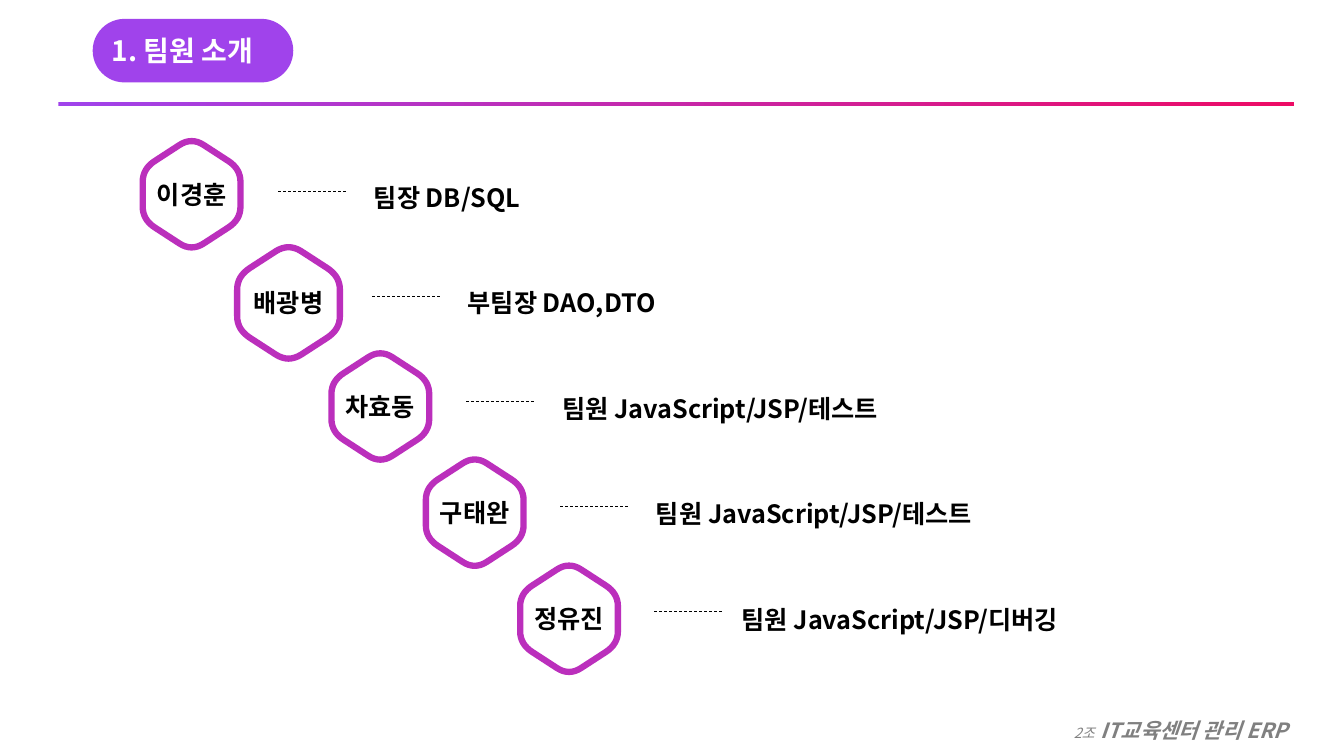
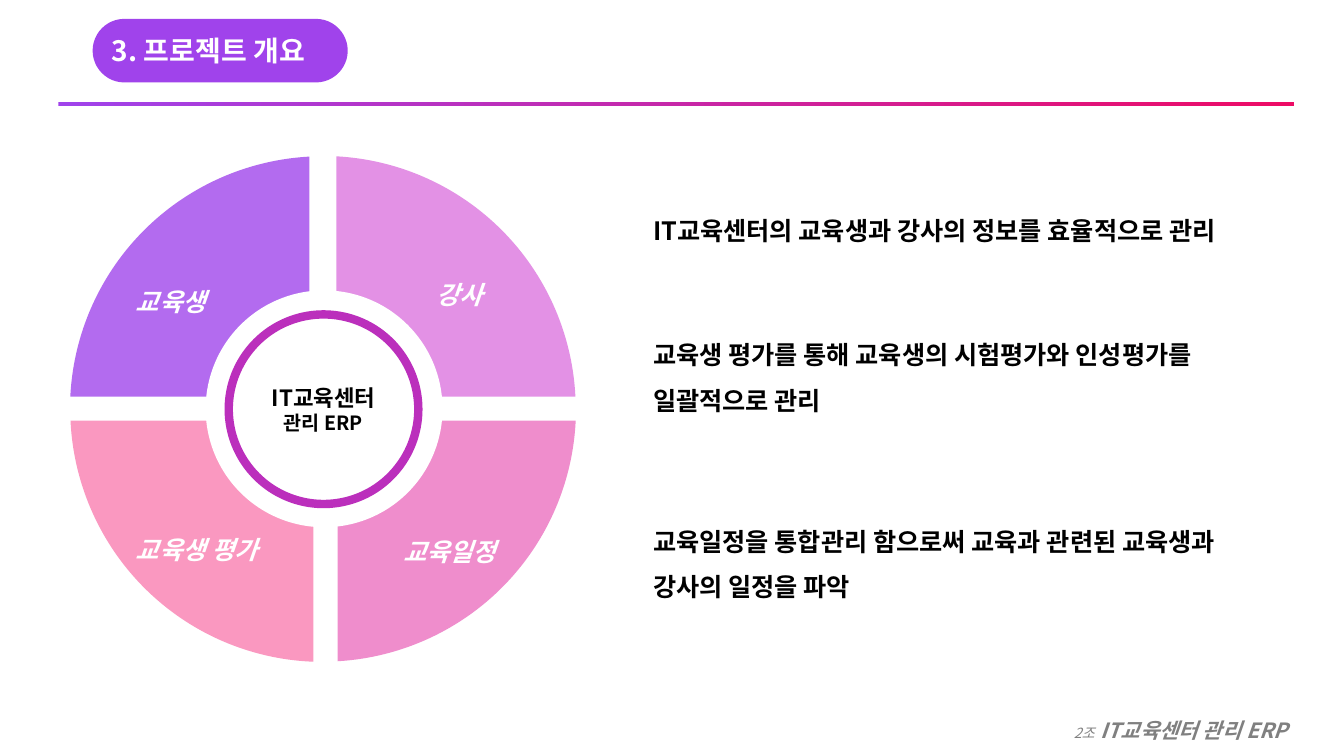
from pptx import Presentation
from pptx.dml.color import RGBColor
from pptx.enum.dml import MSO_LINE
from pptx.enum.shapes import MSO_CONNECTOR, MSO_SHAPE
from pptx.enum.text import MSO_ANCHOR, MSO_AUTO_SIZE, PP_ALIGN
from pptx.oxml.ns import qn
from pptx.util import Pt
from lxml import etree

# Enum members
RECTANGLE, PILL = MSO_SHAPE.RECTANGLE, MSO_SHAPE.ROUNDED_RECTANGLE
OVAL, PIE = MSO_SHAPE.OVAL, MSO_SHAPE.PIE
STRAIGHT, DASH = MSO_CONNECTOR.STRAIGHT, MSO_LINE.DASH
LEFT, CENTER, RIGHT = PP_ALIGN.LEFT, PP_ALIGN.CENTER, PP_ALIGN.RIGHT
MIDDLE, GROW = MSO_ANCHOR.MIDDLE, MSO_AUTO_SIZE.SHAPE_TO_FIT_TEXT

# Colours and text formats
BLACK = RGBColor(0x00, 0x00, 0x00)
WHITE = RGBColor(0xFF, 0xFF, 0xFF)
GRAY = RGBColor(0x80, 0x80, 0x80)
VIOLET = RGBColor(0xA0, 0x43, 0xEB)
CRIMSON = RGBColor(0xED, 0x0B, 0x65)
MAGENTA = RGBColor(0xBB, 0x2F, 0xBC)
QUADRANTS = [RGBColor(0xB3, 0x6B, 0xEF), RGBColor(0xE3, 0x91, 0xE5),
             RGBColor(0xEF, 0x8D, 0xCC), RGBColor(0xFA, 0x98, 0xC0)]
FONT = "Noto Sans CJK KR"
BODY = {"size": Pt(18), "bold": True, "color": BLACK}
TITLE = {"size": Pt(20), "bold": True, "color": WHITE}
LABEL = {"size": Pt(18), "bold": True, "italic": True, "color": WHITE}
FOOTER = {"size": Pt(10), "italic": True, "color": GRAY}

# Corners of the hexagon, as shares of its width and height
HEXAGON = [(0.5, -0.04), (1, 0.26), (1, 0.74), (0.5, 1.04), (0, 0.74), (0, 0.26)]


def rounded_outline(corners, cut=0.25, steps=8):
    """Replace each corner by a quadratic curve that starts at `cut` of the edge."""
    points = []
    for index, (x, y) in enumerate(corners):
        starts, ends = [
            (x + (other[0] - x) * cut, y + (other[1] - y) * cut)
            for other in (corners[index - 1], corners[(index + 1) % len(corners)])]
        for step in range(steps + 1):
            t = step / steps
            points.append(tuple(
                (1 - t) ** 2 * start + 2 * t * (1 - t) * middle + t ** 2 * end
                for start, middle, end in zip(starts, (x, y), ends)))
    return points


class Deck:
    """Holds the shared style and the current slide."""

    def __init__(self):
        self.presentation = Presentation()
        self.presentation.slide_width = Pt(960)
        self.presentation.slide_height = Pt(540)
        self.slide = None

    def new_slide(self, title, title_width):
        self.slide = self.presentation.slides.add_slide(
            self.presentation.slide_layouts[6])
        # Title pill
        pill = self.shape(PILL, (66.2, 13.5, title_width, 45.4), VIOLET, adjustments=[0.5])
        self.set_text(pill, [(title, TITLE)], anchor=MIDDLE)
        # Gradient rule
        rule = self.shape(RECTANGLE, (41.8, 72.9, 882.7, 2.9), VIOLET)
        rule.fill.gradient()
        rule.fill.gradient_angle = 0
        for stop, color in zip(rule.fill.gradient_stops, (VIOLET, CRIMSON)):
            stop.color.rgb = color
        # Footer
        self.text((718.6, 491.8, 208.1, 38.9), [
            ("2조", FOOTER),
            (" ", {**FOOTER, "size": Pt(20)}),
            ("IT교육센터 관리 ERP", {**FOOTER, "size": Pt(15), "bold": True})], RIGHT)

    def paint(self, shape, fill=None, line=None, line_width=0):
        shape.shadow.inherit = False
        if fill is None:
            shape.fill.background()
        else:
            shape.fill.solid()
            shape.fill.fore_color.rgb = fill
        if line is None:
            shape.line.fill.background()
        else:
            shape.line.color.rgb = line
            shape.line.width = Pt(line_width)
        return shape

    def shape(self, kind, box, fill, line=None, line_width=0, adjustments=(), rotation=0):
        shape = self.slide.shapes.add_shape(kind, *map(Pt, box))
        for index, value in enumerate(adjustments):
            shape.adjustments[index] = value
        shape.rotation = rotation
        return self.paint(shape, fill, line, line_width)

    def hexagon(self, box, name):
        left, top, width, height = box
        points = [(Pt(left + x * width), Pt(top + y * height))
                  for x, y in rounded_outline(HEXAGON)]
        builder = self.slide.shapes.build_freeform(*points[0])
        builder.add_line_segments(points[1:])
        shape = self.paint(builder.convert_to_shape(), None, MAGENTA, 4.5)
        self.set_text(shape, [(name, BODY)], CENTER, anchor=MIDDLE, margin=0)

    def dashed_line(self, left, top, length):
        line = self.slide.shapes.add_connector(
            STRAIGHT, Pt(left), Pt(top), Pt(left + length), Pt(top))
        line.line.color.rgb = BLACK
        line.line.width = Pt(0.5)
        line.line.dash_style = DASH
        etree.SubElement(line._element.spPr, qn("a:effectLst"))

    def text(self, box, runs, align=LEFT):
        shape = self.slide.shapes.add_textbox(*map(Pt, box))
        self.set_text(shape, runs, align, spacing=1.5)
        shape.text_frame.auto_size = GROW

    def set_text(self, shape, runs, align=LEFT, anchor=None, margin=None, spacing=None):
        frame = shape.text_frame
        frame.word_wrap = True
        if anchor is not None:
            frame.vertical_anchor = anchor
        if margin is not None:
            frame.margin_left = frame.margin_right = Pt(margin)
        paragraph = frame.paragraphs[0]
        paragraph.alignment = align
        paragraph.line_spacing = spacing
        for text, style in runs:
            if text == "\n":
                paragraph.add_line_break()
                continue
            run = paragraph.add_run()
            run.text = text
            run.font.name = FONT
            for name, value in style.items():
                if name == "color":
                    run.font.color.rgb = value
                else:
                    setattr(run.font, name, value)
            east_asian = etree.SubElement(run._r.get_or_add_rPr(), qn("a:ea"))
            east_asian.set("typeface", FONT)


def team_slide(deck):
    deck.new_slide("1. 팀원 소개", 143.3)
    # Name, role, hexagon size, left and width of the role text
    members = [
        ("이경훈", "팀장 DB/SQL", (69.8, 75.6), 260, 141),
        ("배광병", "부팀장 DAO,DTO", (73.4, 79.2), 327, 333),
        ("차효동", "팀원 JavaScript/JSP/테스트", (69.8, 75.6), 394.5, 252),
        ("구태완", "팀원 JavaScript/JSP/테스트", (69.8, 75.6), 461.5, 247),
        ("정유진", "팀원 JavaScript/JSP/디버깅", (69.8, 75.6), 522.7, 247.7),
    ]
    for row, (name, role, size, role_left, role_width) in enumerate(members):
        deck.hexagon((102 + 67.4 * row, 101 + 75.8 * row, *size), name)
        deck.dashed_line(198.7 + 67.2 * row, 136.8 + 74.9 * row, 49.3)
        deck.text((role_left, 115.9 + 75.3 * row, role_width, 40), [(role, BODY)])


def overview_slide(deck):
    deck.new_slide("3. 프로젝트 개요", 182.2)
    # Ring of four quadrants
    for quarter, color in enumerate(QUADRANTS):
        deck.shape(PIE, (50, 111.6, 361.4, 361), color,
                   adjustments=[108, 162], rotation=90 * quarter)
    # White gaps and hub
    deck.shape(OVAL, (146.9, 207.4, 169.2, 169.2), WHITE)
    for gap in [(221, 110.5, 19.4, 122), (223.9, 349.2, 17.3, 124.6),
                (49, 283.3, 364, 17.3)]:
        deck.shape(RECTANGLE, gap, WHITE)
    hub = deck.shape(OVAL, (163.4, 224.6, 135.4, 135.4), WHITE, MAGENTA, 6)
    deck.set_text(hub, [("IT교육센터", {**BODY, "size": Pt(16)}), ("\n", {}),
                        ("관리 ERP", {**BODY, "size": Pt(14)})],
                  CENTER, anchor=MIDDLE, margin=0)
    # Quadrant labels
    for label, left, top, width in [("교육생", 90, 190.1, 72.7), ("강사", 304.6, 185, 64.8),
                                    ("교육생 평가", 90, 367.2, 115.9),
                                    ("교육일정", 280.8, 368.6, 92.2)]:
        deck.text((left, top, width, 40.3), [(label, LABEL)])
    # Goals
    for goal, top, width, height in [
            ("IT교육센터의 교육생과 강사의 정보를 효율적으로 관리", 139.7, 465, 40.3),
            ("교육생 평가를 통해 교육생의 시험평가와 인성평가를 일괄적으로 관리", 228.2, 451.4, 72.7),
            ("교육일정을 통합관리 함으로써 교육과 관련된 교육생과 강사의 일정을 파악",
             361.4, 451.4, 72.7)]:
        deck.text((459.4, top, width, height), [(goal, BODY)])


def main():
    deck = Deck()
    team_slide(deck)
    overview_slide(deck)
    deck.presentation.save("out.pptx")


if __name__ == "__main__":
    main()
